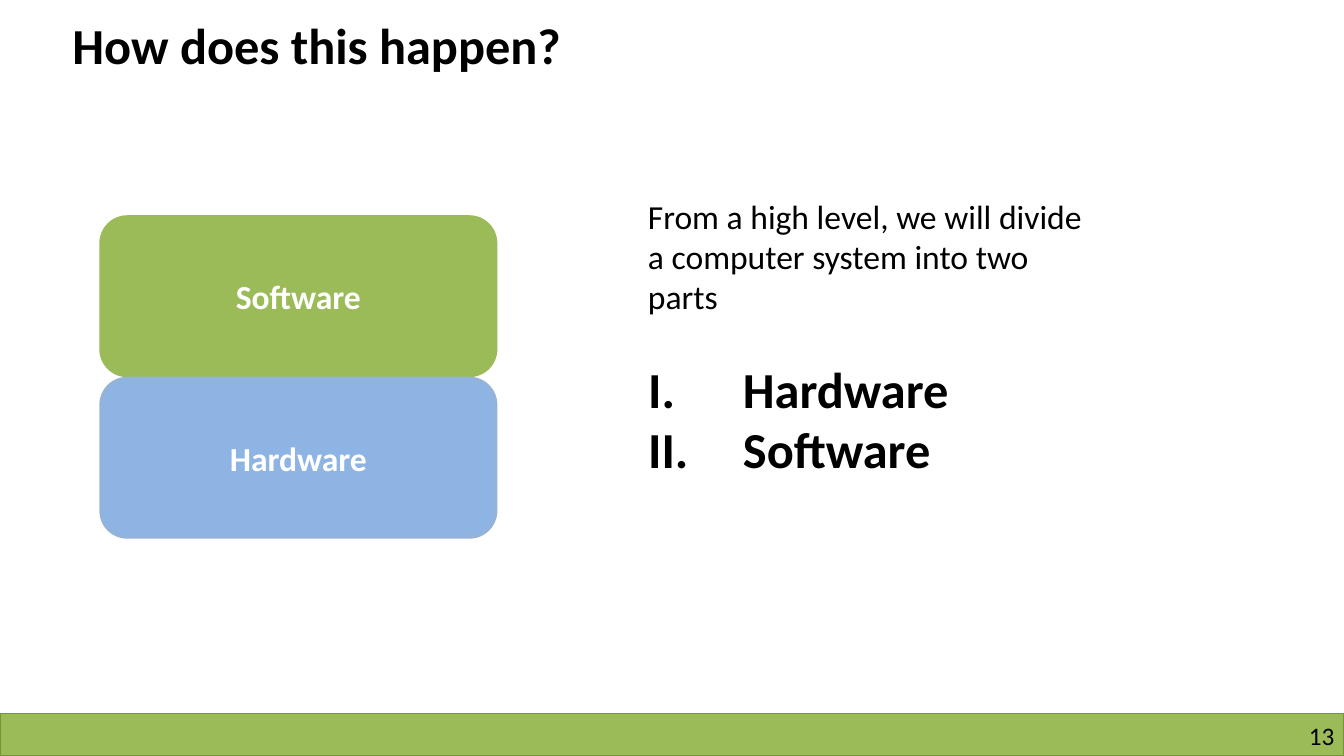
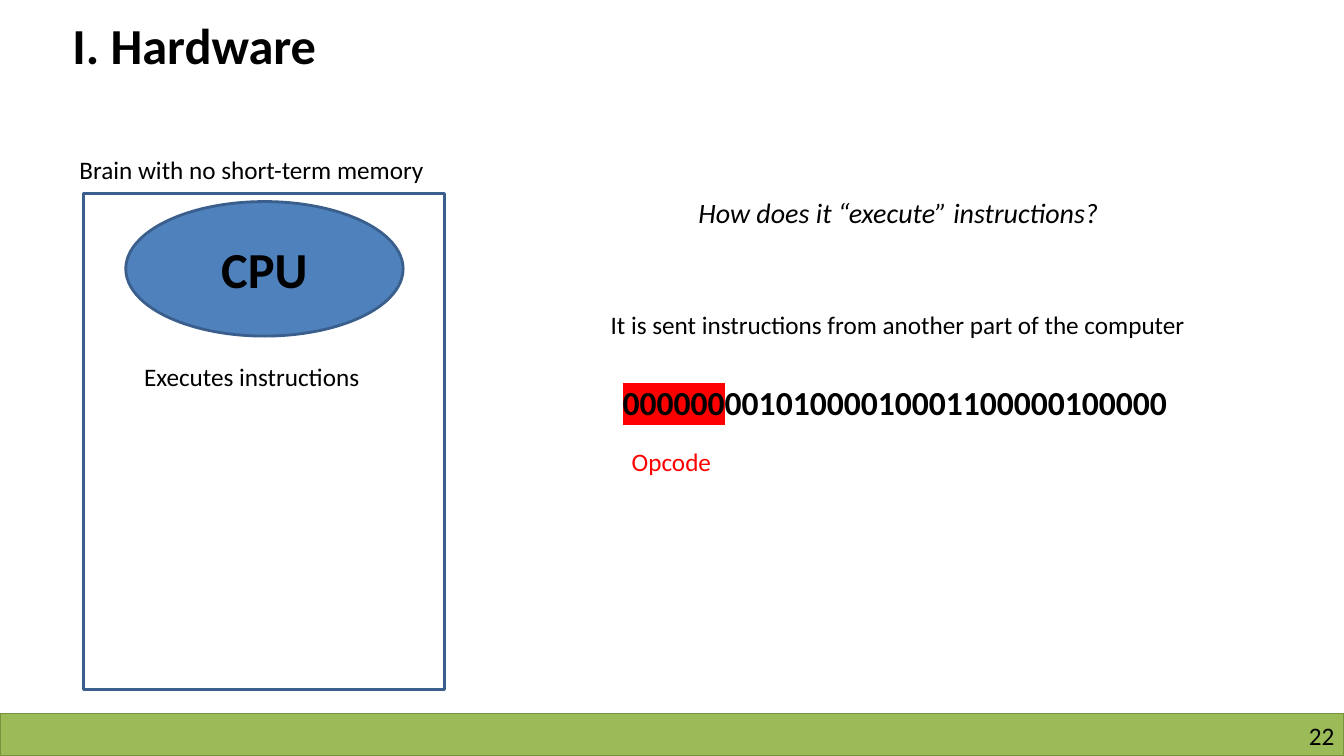
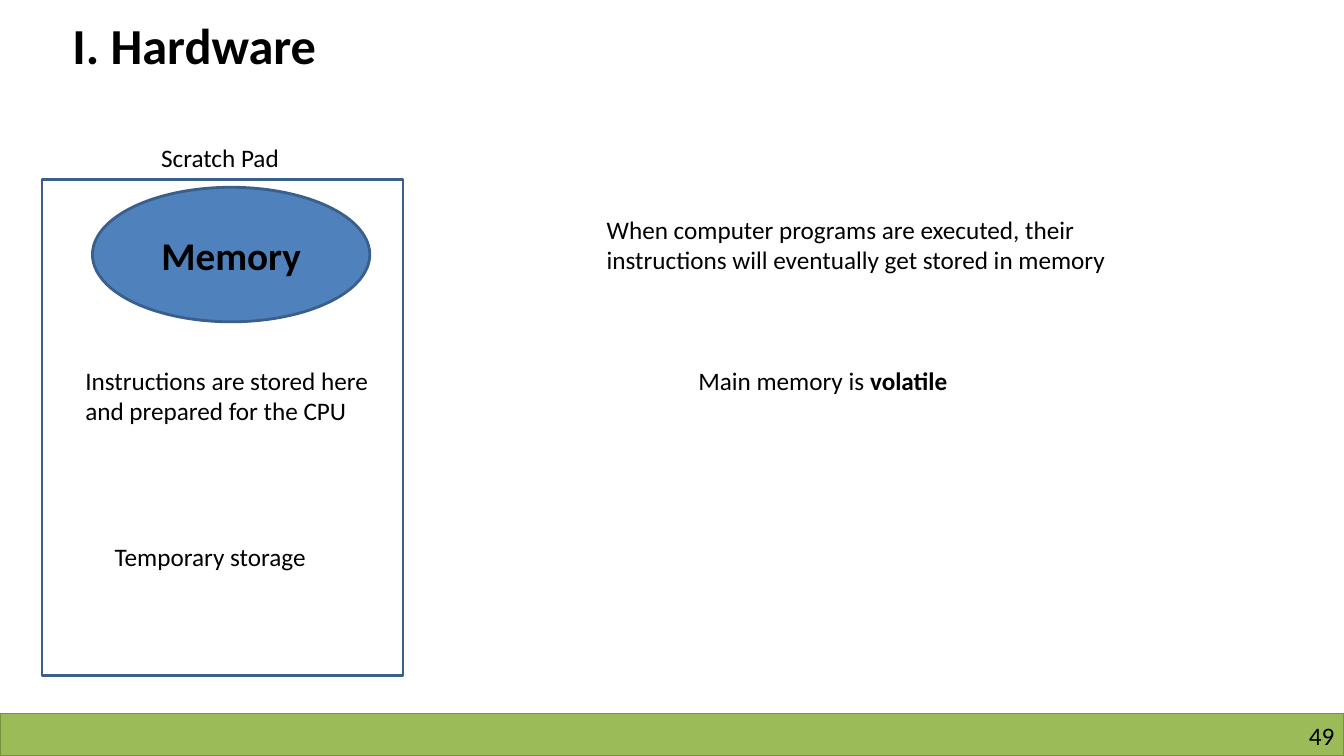
from lxml import etree
from pptx import Presentation
from pptx.dml.color import RGBColor
from pptx.enum.shapes import MSO_SHAPE
from pptx.enum.text import MSO_ANCHOR, MSO_AUTO_SIZE, PP_ALIGN
from pptx.oxml.ns import qn
from pptx.util import Cm, Pt

COLORS = {
    "text": "000000",
    "white": "FFFFFF",
    "green": "9BBB59",
    "green_edge": "77933C",
    "light_blue": "8EB4E3",
    "light_blue_edge": "95B3D7",
    "blue": "4F81BD",
    "blue_edge": "3A5F8C",
    "red": "FF0000",
}
FONT = "Calibri"
SLIDE_W, SLIDE_H = 33.87, 19.05
BAND_TOP = 17.98
TITLE_AND_BODY, TITLE_ONLY = 1, 5


def color(name):
    return RGBColor.from_string(COLORS[name])


def add_run(paragraph, text, size, bold=False, italic=False, ink="text", highlight=None):
    run = paragraph.add_run()
    run.text = text
    font = run.font
    font.size, font.bold, font.italic = Pt(size), bold, italic
    font.color.rgb = color(ink)
    if highlight:
        mark = etree.Element(qn("a:highlight"))
        etree.SubElement(mark, qn("a:srgbClr"), val=COLORS[highlight])
        run._r.get_or_add_rPr().find(qn("a:solidFill")).addnext(mark)
    font.name = FONT


def place(shape, left, top, width, height):
    shape.left, shape.top = Cm(left), Cm(top)
    shape.width, shape.height = Cm(width), Cm(height)
    frame = shape.text_frame
    frame.word_wrap = True
    frame.auto_size = MSO_AUTO_SIZE.NONE
    frame.vertical_anchor = MSO_ANCHOR.TOP
    return frame


def add_text(slide, left, top, width, height, text, size=18, **style):
    """Add a text box and return its paragraph, ready for more runs."""
    box = slide.shapes.add_textbox(0, 0, 0, 0)
    paragraph = place(box, left, top, width, height).paragraphs[0]
    add_run(paragraph, text, size, **style)
    return paragraph


def add_block(slide, kind, left, top, width, height, fill, edge, edge_width=2):
    block = slide.shapes.add_shape(kind, Cm(left), Cm(top), Cm(width), Cm(height))
    block.shadow.inherit = False
    if fill:
        block.fill.solid()
        block.fill.fore_color.rgb = color(fill)
    else:
        block.fill.background()
    block.line.color.rgb = color(edge)
    block.line.width = Pt(edge_width)
    return block


def label_block(block, text, size, ink):
    block.text_frame.vertical_anchor = MSO_ANCHOR.MIDDLE
    paragraph = block.text_frame.paragraphs[0]
    paragraph.alignment = PP_ALIGN.CENTER
    add_run(paragraph, text, size, bold=True, ink=ink)


def add_slide(prs, layout, title, number):
    """Start a slide with the shared title, bottom band and page number."""
    slide = prs.slides.add_slide(prs.slide_layouts[layout])
    heading = place(slide.shapes.title, 1.57, 0.23, 24.23, 1.8).paragraphs[0]
    heading.alignment = PP_ALIGN.LEFT
    add_run(heading, title, 36, bold=True)

    add_block(slide, MSO_SHAPE.RECTANGLE, 0, BAND_TOP, SLIDE_W, SLIDE_H - BAND_TOP,
              "green", "green_edge", 1)
    page = slide.shapes.add_textbox(0, 0, 0, 0)
    frame = place(page, 25.83, 18.16, 7.8, 0.76)
    frame.margin_left = frame.margin_right = frame.margin_top = frame.margin_bottom = 0
    frame.paragraphs[0].alignment = PP_ALIGN.RIGHT
    add_run(frame.paragraphs[0], str(number), 18)
    return slide


def fill_roman_list(body, items, size, indent):
    for index, item in enumerate(items):
        frame = body.text_frame
        paragraph = frame.paragraphs[0] if index == 0 else frame.add_paragraph()
        paragraph.space_before = Pt(0)
        props = paragraph._p.get_or_add_pPr()
        props.set("marL", str(Cm(indent)))
        props.set("indent", str(-Cm(indent)))
        etree.SubElement(props, qn("a:buFont"), typeface=FONT)
        etree.SubElement(props, qn("a:buAutoNum"), type="romanUcPeriod")
        add_run(paragraph, item, size, bold=True)


def add_component_panel(slide, left, top, oval_inset, name, size):
    """Add a framed panel with the component's name in an oval at its top."""
    oval = add_block(slide, MSO_SHAPE.OVAL, left + oval_inset, top + 0.2, 6.99, 3.39,
                     "blue", "blue_edge")
    label_block(oval, name, size, "text")
    add_block(slide, MSO_SHAPE.RECTANGLE, left, top, 9.1, 12.5, None, "blue_edge")


def build_overview(prs):
    slide = add_slide(prs, TITLE_AND_BODY, "How does this happen?", 13)
    add_text(slide, 16.08, 4.8, 11.48, 3.33,
             "From a high level, we will divide a computer system into two parts", 24)

    # Stacked system layers
    layers = [("Software", "green", "green"),
              ("Hardware", "light_blue", "light_blue_edge")]
    for row, (name, fill, edge) in enumerate(layers):
        layer = add_block(slide, MSO_SHAPE.ROUNDED_RECTANGLE,
                          2.54, 5.46 + row * 4.07, 9.96, 4.01, fill, edge)
        label_block(layer, name, 24, "white")

    # Numbered parts
    parts = slide.placeholders[1]
    place(parts, 16.08, 8.89, 8.76, 3.33)
    fill_roman_list(parts, ["Hardware", "Software"], 36, 2.39)


def build_cpu(prs):
    slide = add_slide(prs, TITLE_ONLY, "I. Hardware", 22)
    add_component_panel(slide, 2.11, 4.88, 1.06, "CPU", 36)
    add_text(slide, 1.75, 3.76, 9.8, 1.02, "Brain with no short-term memory")
    add_text(slide, 3.38, 8.97, 6.78, 1.02, "Executes instructions")

    # Instruction and its opcode
    add_text(slide, 17.35, 4.8, 11.58, 1.12,
             "How does it “execute” instructions?", 20, italic=True)
    add_text(slide, 15.14, 7.67, 16.05, 1.02,
             "It is sent instructions from another part of the computer")
    instruction = add_text(slide, 15.44, 9.5, 17.02, 1.27, "000000", 24,
                           bold=True, highlight="red")
    add_run(instruction, "00101000010001100000100000", 24, bold=True)
    add_text(slide, 15.67, 11.13, 2.9, 1.02, "Opcode", ink="red")


def build_memory(prs):
    slide = add_slide(prs, TITLE_ONLY, "I. Hardware", 49)
    add_component_panel(slide, 1.06, 4.52, 1.27, "Memory", 28)
    add_text(slide, 3.81, 3.45, 4.01, 1.02, "Scratch Pad")
    add_text(slide, 1.9, 9.07, 7.82, 2.57,
             "Instructions are stored here and prepared for the CPU")
    add_text(slide, 2.64, 13.51, 5.92, 1.02, "Temporary storage")

    # Remarks
    add_text(slide, 15.04, 5.28, 13.97, 1.8,
             "When computer programs are executed, their instructions "
             "will eventually get stored in memory")
    remark = add_text(slide, 17.35, 9.07, 7.42, 1.02, "Main memory is ")
    add_run(remark, "volatile", 18, bold=True)


def main():
    prs = Presentation()
    prs.slide_width, prs.slide_height = Cm(SLIDE_W), Cm(SLIDE_H)
    build_overview(prs)
    build_cpu(prs)
    build_memory(prs)
    prs.save("out.pptx")


if __name__ == "__main__":
    main()
